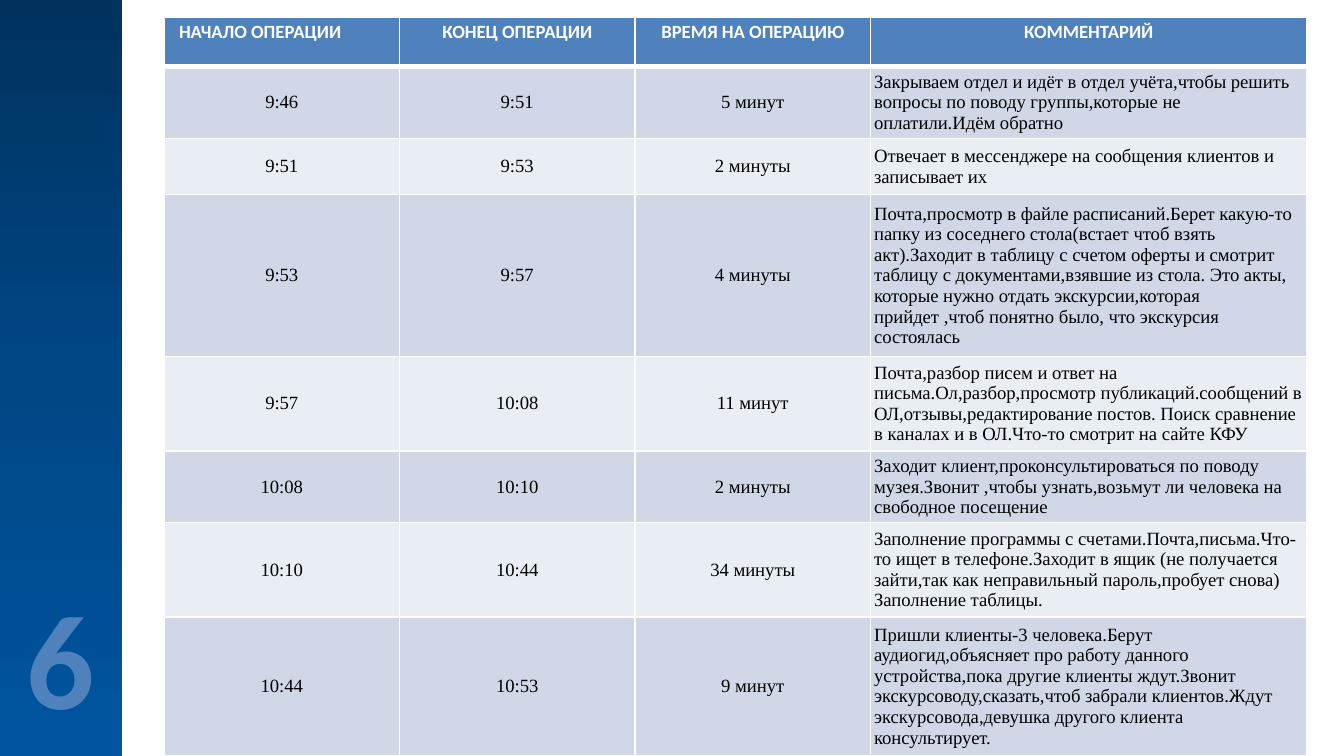
from copy import deepcopy

from lxml.etree import SubElement
from pptx import Presentation
from pptx.dml.color import RGBColor
from pptx.enum.shapes import MSO_SHAPE
from pptx.enum.text import MSO_ANCHOR, PP_ALIGN
from pptx.oxml.ns import qn
from pptx.util import Cm, Pt


def color(value):
    return RGBColor.from_string(value)


def add_borders(cell, bottom_width):
    properties = cell._tc.get_or_add_tcPr()
    widths = {"a:lnL": 1, "a:lnR": 1, "a:lnT": 1, "a:lnB": bottom_width}
    for index, (tag, width) in enumerate(widths.items()):
        line = SubElement(properties, qn(tag), w=str(Pt(width)))
        fill = SubElement(line, qn("a:solidFill"))
        SubElement(fill, qn("a:srgbClr"), val="FFFFFF")
        properties.insert(index, line)


HEADERS = ["НАЧАЛО ОПЕРАЦИИ", "КОНЕЦ ОПЕРАЦИИ", "ВРЕМЯ НА ОПЕРАЦИЮ", "КОММЕНТАРИЙ"]
OPERATIONS = [
    ["9:46", "9:51", "5 минут",
     "Закрываем отдел и идёт в отдел учёта,чтобы решить вопросы по поводу "
     "группы,которые не оплатили.Идём обратно"],
    ["9:51", "9:53", "2 минуты",
     "Отвечает в мессенджере на сообщения клиентов и записывает их"],
    ["9:53", "9:57", "4 минуты",
     "Почта,просмотр в файле расписаний.Берет какую-то папку из соседнего "
     "стола(встает чтоб взять акт).Заходит в таблицу с счетом оферты и смотрит "
     "таблицу с документами,взявшие из стола. Это акты, которые нужно отдать "
     "экскурсии,которая прийдет ,чтоб понятно было, что экскурсия состоялась"],
    ["9:57", "10:08", "11 минут",
     "Почта,разбор писем и ответ на письма.Ол,разбор,просмотр "
     "публикаций.сообщений в ОЛ,отзывы,редактирование постов. Поиск сравнение "
     "в каналах и в ОЛ.Что-то смотрит на сайте КФУ"],
    ["10:08", "10:10", "2 минуты",
     "Заходит клиент,проконсультироваться по поводу музея.Звонит ,чтобы "
     "узнать,возьмут ли человека на свободное посещение"],
    ["10:10", "10:44", "34 минуты",
     "Заполнение программы с счетами.Почта,письма.Что-то ищет в "
     "телефоне.Заходит в ящик (не получается зайти,так как неправильный "
     "пароль,пробует снова) Заполнение таблицы."],
    ["10:44", "10:53", "9 минут",
     "Пришли клиенты-3 человека.Берут аудиогид,объясняет про работу данного "
     "устройства,пока другие клиенты ждут.Звонит экскурсоводу,сказать,чтоб "
     "забрали клиентов.Ждут экскурсовода,девушка другого клиента консультирует."],
]
COLUMN_WIDTHS = [4.45, 4.45, 4.45, 8.25]
ROW_HEIGHTS = [0.92, 1.37, 1.06, 3.06, 1.78, 1.36, 1.78, 2.21]

presentation = Presentation()
presentation.slide_width = Cm(25.4)
presentation.slide_height = Cm(14.29)
slide = presentation.slides.add_slide(presentation.slide_layouts[6])

sidebar = slide.shapes.add_shape(MSO_SHAPE.RECTANGLE, 0, 0, Cm(2.31), Cm(14.29))
sidebar.shadow.inherit = False
sidebar.line.fill.background()
sidebar.fill.gradient()
sidebar.fill.gradient_angle = 270
stop_list = sidebar._element.spPr.find(qn("a:gradFill")).find(qn("a:gsLst"))
stop_list.insert(1, deepcopy(stop_list[0]))
stops = [(0, "00325E"), (0.5, "004786"), (1, "00549F")]
for stop, (position, value) in zip(sidebar.fill.gradient_stops, stops):
    stop.position = position
    stop.color.rgb = color(value)

number_box = slide.shapes.add_textbox(Cm(0.25), Cm(10.74), Cm(1.8), Cm(3.33))
number_box.text_frame.word_wrap = False
paragraph = number_box.text_frame.paragraphs[0]
paragraph.text = "6"
paragraph.alignment = PP_ALIGN.CENTER
paragraph.font.name = "Calibri"
paragraph.font.size = Pt(72)
paragraph.font.bold = True
paragraph.font.color.rgb = color("4F81BD")

table = slide.shapes.add_table(
    len(ROW_HEIGHTS), len(COLUMN_WIDTHS), Cm(3.1), Cm(0.33),
    Cm(sum(COLUMN_WIDTHS)), Cm(sum(ROW_HEIGHTS))).table
for column, width in zip(table.columns, COLUMN_WIDTHS):
    column.width = Cm(width)
for row, height in zip(table.rows, ROW_HEIGHTS):
    row.height = Cm(height)

for row_index, texts in enumerate([HEADERS] + OPERATIONS):
    is_header = row_index == 0
    for column_index, text in enumerate(texts):
        cell = table.cell(row_index, column_index)
        cell.text = text
        cell.fill.solid()
        paragraph = cell.text_frame.paragraphs[0]
        paragraph.font.size = Pt(10)
        paragraph.font.bold = is_header
        if is_header:
            cell.fill.fore_color.rgb = color("4F81BD")
            paragraph.line_spacing = 0.8
            paragraph.font.name = "Calibri"
            paragraph.font.color.rgb = color("FFFFFF")
        else:
            cell.fill.fore_color.rgb = color("D0D8E8" if row_index % 2 else "E9EDF4")
            cell.vertical_anchor = MSO_ANCHOR.MIDDLE
            cell.margin_left = cell.margin_right = Cm(0.07)
            cell.margin_top = cell.margin_bottom = Cm(0.04)
            paragraph.font.name = "Times New Roman"
            paragraph.font.color.rgb = color("000000")
        if is_header or column_index < 3:
            paragraph.alignment = PP_ALIGN.CENTER
        add_borders(cell, 3 if is_header else 1)

table.cell(0, 0).margin_left = Cm(0.13)
table.cell(0, 0).margin_right = Cm(0.95)

presentation.save("out.pptx")
